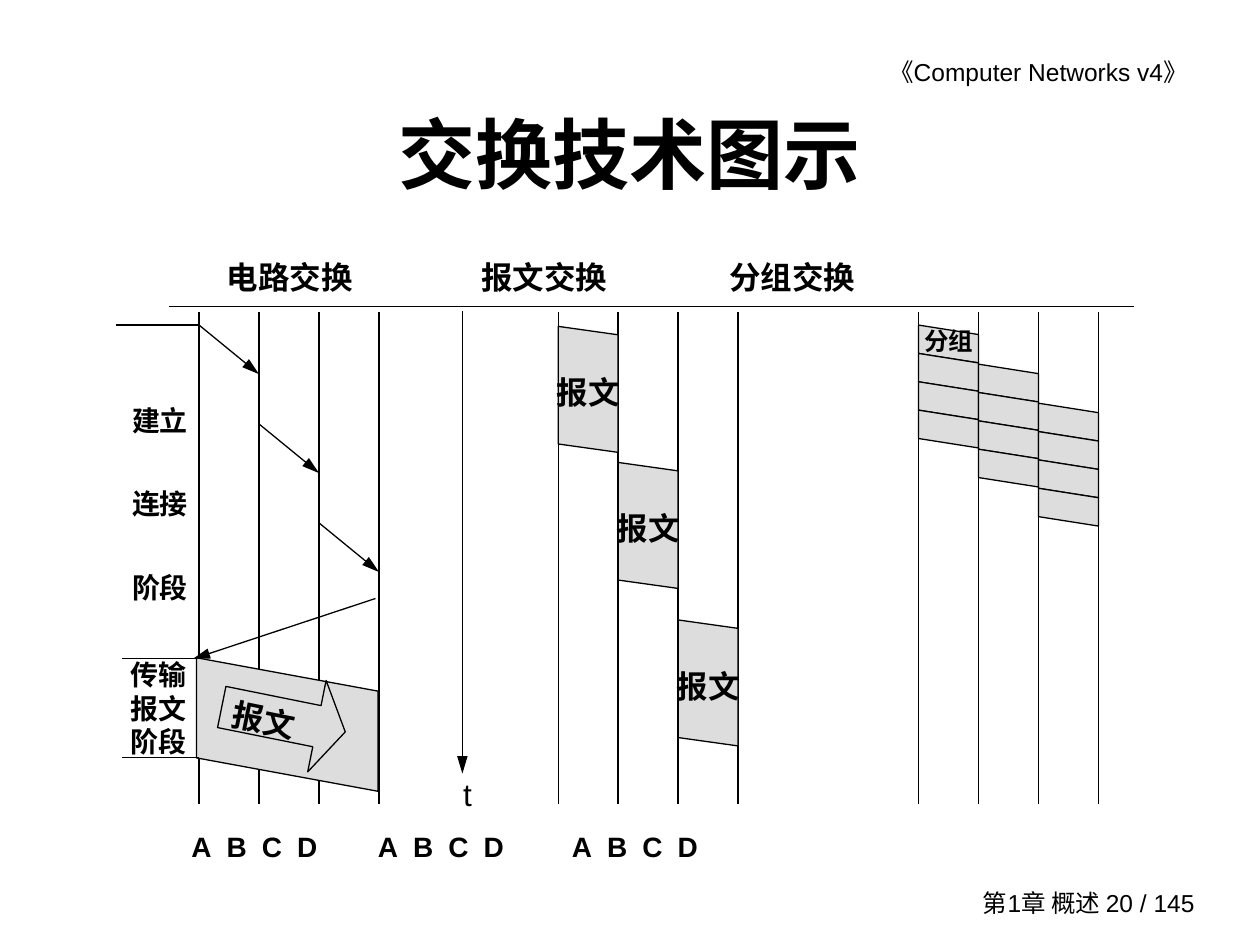
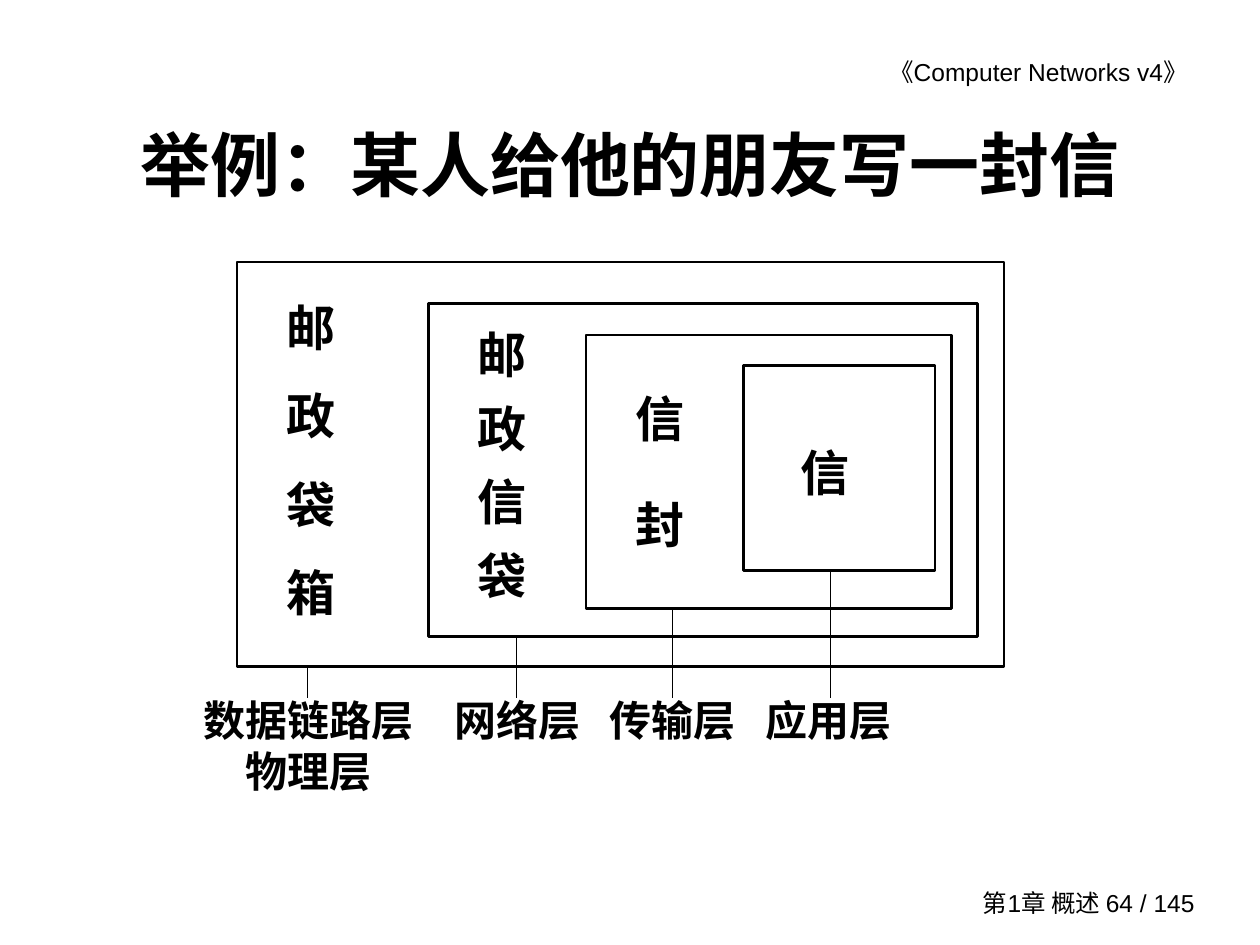
from lxml.etree import SubElement
from pptx import Presentation
from pptx.dml.color import RGBColor
from pptx.enum.shapes import MSO_CONNECTOR, MSO_SHAPE
from pptx.enum.text import MSO_ANCHOR, MSO_AUTO_SIZE, PP_ALIGN
from pptx.oxml.ns import qn
from pptx.util import Inches, Pt

# Shared look: a grid of 100 columns by 75 rows, black ink, grey blocks
CELL = Inches(10) // 100
COLUMNS, ROWS = 100, 75
INK, BLOCK = "000000", "DDDDDD"
LATIN_FONT, CHINESE_FONT = "Arial", "Noto Sans CJK SC"
TITLE_ONLY = 5
PADDING = (1, 0.5, 1, 0.5)
TIGHT = (0.4, 0.4, 0.4, 0.4)
LABEL_PADDING = (0.6, 0.5, 0.6, 0.5)


def grid(*cells):
    return [round(cell * CELL) for cell in cells]


def color(hex_string):
    return RGBColor.from_string(hex_string)


def format_text(shape, text, size, bold=True, align=PP_ALIGN.LEFT,
                anchor=MSO_ANCHOR.TOP, padding=PADDING, wrap=True,
                line_spacing=1.0, space=0, tabs=(), font=LATIN_FONT):
    frame = shape.text_frame
    frame.text = text
    frame.auto_size = MSO_AUTO_SIZE.NONE
    frame.word_wrap = wrap
    frame.vertical_anchor = anchor
    (frame.margin_left, frame.margin_top,
     frame.margin_right, frame.margin_bottom) = grid(*padding)
    for paragraph in frame.paragraphs:
        paragraph.alignment = align
        paragraph.line_spacing = line_spacing
        paragraph.space_before = paragraph.space_after = Pt(space)
        if tabs:
            tab_list = SubElement(paragraph._p.get_or_add_pPr(), qn("a:tabLst"))
            for position in grid(*tabs):
                SubElement(tab_list, qn("a:tab"), pos=str(position), algn="l")
        for run in paragraph.runs:
            run.font.name = font
            run.font.size = Pt(size)
            run.font.bold = bold
            run.font.color.rgb = color(INK)
            SubElement(run._r.get_or_add_rPr(), qn("a:ea"), typeface=CHINESE_FONT)


def add_text(slide, box, text, size, **style):
    format_text(slide.shapes.add_textbox(*grid(*box)), text, size, **style)


def add_outline(slide, kind, box, fill=None, width=0.75):
    shape = slide.shapes.add_shape(kind, *grid(*box))
    shape.shadow.inherit = False
    if fill:
        shape.fill.solid()
        shape.fill.fore_color.rgb = color(fill)
    else:
        shape.fill.background()
    shape.line.color.rgb = color(INK)
    shape.line.width = Pt(width)
    return shape


def add_slanted_block(slide, left, top, width, height, slant):
    """Block with upright sides whose top and bottom edges fall to the right."""
    turned = (left + (width - height) / 2, top + (height - width) / 2, height, width)
    block = add_outline(slide, MSO_SHAPE.PARALLELOGRAM, turned, BLOCK)
    block.adjustments[0] = slant
    block.rotation = 270


def add_line(slide, start, end, arrow=False):
    line = slide.shapes.add_connector(MSO_CONNECTOR.STRAIGHT, *grid(*start, *end))
    line.line.color.rgb = color(INK)
    line.line.width = Pt(0.75)
    if arrow:
        SubElement(line.line._get_or_add_ln(), qn("a:tailEnd"),
                   type="triangle", w="med", len="lg")
    SubElement(line._element.spPr, qn("a:effectLst"))


def add_slide(presentation, title, page, title_size, title_height, title_font):
    slide = presentation.slides.add_slide(presentation.slide_layouts[TITLE_ONLY])
    heading = slide.shapes.title
    heading.left, heading.top, heading.width, heading.height = grid(
        7.5, 6.7, 85, title_height)
    format_text(heading, title, title_size, align=PP_ALIGN.CENTER,
                anchor=MSO_ANCHOR.MIDDLE, font=title_font)
    # Running header and footer
    add_text(slide, (53.5, 4, 42.3, 3.4), "《Computer Networks v4》", 14,
             bold=False, align=PP_ALIGN.RIGHT, padding=(1, 0.5, 1.5, 0.5))
    add_text(slide, (75, 70, 20.8, 3.3), f"第1章 概述 {page} / 145", 14,
             bold=False, align=PP_ALIGN.RIGHT, anchor=MSO_ANCHOR.MIDDLE)
    return slide


def add_circuit_switching(slide, left, step):
    # Connection request hops, then the reply
    for hop in range(3):
        start = left + hop * step
        top = 25.8 + hop * 7.85
        add_line(slide, (start, top), (start + step, top + 3.9), arrow=True)
    add_line(slide, (29.8, 47.5), (15.3, 52.3), arrow=True)
    # Message sent along the whole circuit
    add_slanted_block(slide, 15.6, 52.2, 14.4, 10.6, 0.25)
    arrow = add_outline(slide, MSO_SHAPE.RIGHT_ARROW, (17.5, 53.4, 10, 7.4))
    arrow.adjustments[0], arrow.adjustments[1] = 0.45, 0.31
    arrow.rotation = 11.4
    format_text(arrow, "报文", 18)
    # Phases on the left
    for phase_left, phase_top in ((9.2, 25.8), (9.7, 52.25), (9.7, 60.1)):
        add_line(slide, (phase_left, phase_top), (left, phase_top))
    add_text(slide, (9.2, 27.5, 6.7, 24.2), "建立连接阶段", 16,
             align=PP_ALIGN.RIGHT, line_spacing=2.5)
    add_text(slide, (8.3, 51.7, 7.5, 9.2), "传输报文阶段", 16, align=PP_ALIGN.RIGHT)


def add_message_switching(slide, left, step):
    for hop, top in enumerate((25.9, 36.7, 49.2)):
        block_left = left + hop * step
        add_slanted_block(slide, block_left, top, step, 10, 0.14)
        add_text(slide, (block_left - 0.5, top + 3.3, 5.8, 3.8), "报文", 18,
                 align=PP_ALIGN.CENTER, anchor=MSO_ANCHOR.MIDDLE,
                 padding=TIGHT, wrap=False)


def add_packet_switching(slide, left, step):
    for hop in range(3):
        for packet in range(4):
            top = 25.8 + 3.1 * hop + 2.25 * packet
            add_slanted_block(slide, left + hop * step, top, step, 3, 0.25)
    add_text(slide, (left - 0.5, 25.5, 5.8, 3.1), "分组", 14,
             align=PP_ALIGN.CENTER, anchor=MSO_ANCHOR.MIDDLE,
             padding=TIGHT, wrap=False)


def add_switching_slide(presentation):
    slide = add_slide(presentation, "交换技术图示", 20, 44, 10.8, LATIN_FONT)
    step = 4.76
    circuit, message, packet = 15.8, 44.3, 72.9
    # Headings and time axis
    add_text(slide, (17, 20, 69, 4.8), "电路交换\t报文交换\t分组交换", 18,
             tabs=(20.2, 39.9))
    add_line(slide, (13.4, 24.3), (90, 24.3))
    add_line(slide, (36.7, 24.7), (36.7, 61.4), arrow=True)
    add_text(slide, (35, 61, 4.2, 4.8), "t", 18, bold=False, align=PP_ALIGN.CENTER)
    # Four station lines under each heading
    for left in (circuit, message, packet):
        for station in range(4):
            x = left + station * step
            add_line(slide, (x, 24.8), (x, 63.8))
    add_circuit_switching(slide, circuit, step)
    add_message_switching(slide, message, step)
    add_packet_switching(slide, packet, step)
    # Station names
    stops = [group + 2.8 * station for group in (0, 14.8, 30.2) for station in range(4)]
    add_text(slide, (14.2, 64.2, 75, 4.8), "\t".join("ABCD" * 3), 16,
             line_spacing=1.44, space=2, tabs=stops[1:])


def add_letter_slide(presentation):
    slide = add_slide(presentation, "举例：某人给他的朋友写一封信", 64, 40, 12.5,
                      CHINESE_FONT)
    # Nested wrappings: box, text, line spacing, left padding, layer label, its box, pin
    wrappings = (
        ((18.8, 20.8, 60.9, 32.1), "邮\n政\n袋\n箱", 1.5, 3.9,
         "数据链路层\n物理层", (13.7, 21.5, 9.6), 24.4),
        ((34, 24.1, 43.6, 26.4), "邮\n政\n信\n袋", 1.25, 3.9,
         "网络层", (34.4, 13.3, 5), 41),
        ((46.5, 26.6, 29, 21.7), "信\n封", 1.8, 3.9,
         "传输层", (46.6, 13.6, 5), 53.4),
        ((59, 29, 15.2, 16.3), "信", 2.2, 4.5,
         "应用层", (59, 13.5, 5), 65.9),
    )
    label_top = 55.4
    for box, text, spacing, padding, layer, label, pin in wrappings:
        rectangle = add_outline(slide, MSO_SHAPE.RECTANGLE, box, width=1.5)
        format_text(rectangle, text, 28, line_spacing=spacing,
                    padding=(padding, 0.5, 1, 0.5))
        add_line(slide, (pin, box[1] + box[3]), (pin, label_top))
        left, width, height = label
        add_text(slide, (left, label_top, width, height), layer, 24,
                 align=PP_ALIGN.CENTER, padding=LABEL_PADDING,
                 line_spacing=0.8, space=3)


def main():
    presentation = Presentation()
    presentation.slide_width, presentation.slide_height = grid(COLUMNS, ROWS)
    add_switching_slide(presentation)
    add_letter_slide(presentation)
    presentation.save("out.pptx")


if __name__ == "__main__":
    main()
